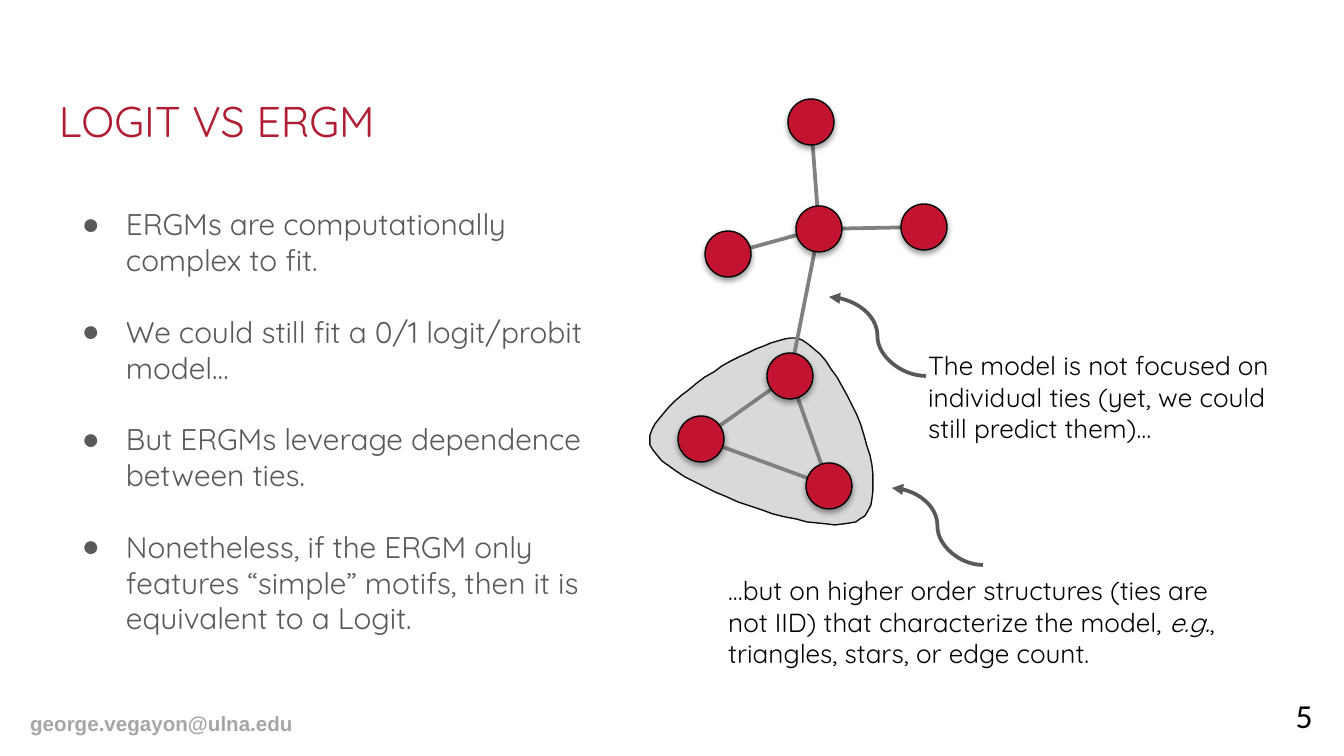
from dataclasses import dataclass

from lxml import etree
from pptx import Presentation
from pptx.dml.color import RGBColor
from pptx.enum.shapes import MSO_CONNECTOR as Connector, MSO_SHAPE as Shape
from pptx.enum.text import MSO_ANCHOR as Anchor, MSO_AUTO_SIZE as AutoSize, PP_ALIGN as Align
from pptx.oxml.ns import qn
from pptx.util import Emu, Pt

EMU_PER_PX = 914400 / 134.4
INSET = 13


@dataclass(frozen=True)
class Theme:
    font: str = "Quicksand"
    footer_font: str = "Arial"
    number_font: str = "Calibri"
    accent: str = "B01C32"
    node: str = "C21330"
    body: str = "595959"
    tie: str = "808080"
    region: str = "D9D9D9"
    region_edge: str = "0D0D0D"
    footer: str = "A6A6A6"
    black: str = "000000"
    title_size: int = 23
    number_size: int = 18
    body_size: int = 16
    note_size: int = 14
    footer_size: int = 11
    line_width: float = 2
    outline_width: float = 0.75


def px(value):
    return Emu(round(value * EMU_PER_PX))


def add_xml(parent, tag, **attributes):
    return etree.SubElement(parent, qn(tag), attributes)


def curve_points(start, segments, steps=24):
    """Sample a chain of cubic Bezier segments."""
    points = []
    for first, second, end in segments:
        for step in range(1, steps + 1):
            t = step / steps
            weights = ((1 - t) ** 3, 3 * t * (1 - t) ** 2, 3 * t * t * (1 - t), t ** 3)
            controls = (start, first, second, end)
            points.append(tuple(sum(w * c[axis] for w, c in zip(weights, controls))
                                for axis in (0, 1)))
        start = end
    return points


class SlideBuilder:
    def __init__(self, slide, theme):
        self.slide = slide
        self.shapes = slide.shapes
        self.theme = theme

    def place(self, shape, box):
        shape.left, shape.top, shape.width, shape.height = map(px, box)

    def add_run(self, paragraph, text, size, color, font=None, bold=False, italic=False):
        run = paragraph.add_run()
        run.text = text
        run.font.name = font or self.theme.font
        run.font.size = Pt(size)
        run.font.color.rgb = RGBColor.from_string(color)
        run.font.bold = bold
        run.font.italic = italic

    def paint(self, shape, fill, line):
        shape.fill.solid()
        shape.fill.fore_color.rgb = RGBColor.from_string(fill)
        shape.line.color.rgb = RGBColor.from_string(line)
        shape.line.width = Pt(self.theme.outline_width)
        shape.shadow.inherit = False

    def prepare_placeholder(self, shape, box, top_inset):
        self.place(shape, box)
        frame = shape.text_frame
        frame.word_wrap = True
        frame.auto_size = AutoSize.NONE
        frame.vertical_anchor = Anchor.TOP
        frame.margin_left = frame.margin_right = px(INSET)
        frame.margin_top = px(top_inset)
        return frame

    def title(self, text, box):
        frame = self.prepare_placeholder(self.shapes.title, box, INSET)
        paragraph = frame.paragraphs[0]
        paragraph.alignment = Align.LEFT
        self.add_run(paragraph, text, self.theme.title_size, self.theme.accent)

    def bullets(self, items, box):
        frame = self.prepare_placeholder(self.slide.placeholders[1], box, 2)
        for index, item in enumerate(items):
            paragraph = frame.paragraphs[0] if index == 0 else frame.add_paragraph()
            paragraph.line_spacing = 1.0
            paragraph.space_before = Pt(0)
            paragraph.space_after = Pt(19.2)
            properties = paragraph._p.get_or_add_pPr()
            properties.set("marL", str(px(67)))
            properties.set("indent", str(px(-44)))
            add_xml(properties, "a:buChar", char="●")
            self.add_run(paragraph, item, self.theme.body_size, self.theme.body)

    def text(self, runs, box, size, color, font=None, bold=False, wrap=True,
             align=Align.LEFT, anchor=Anchor.TOP):
        """Add a text box; runs are (text, italic) pairs."""
        frame = self.shapes.add_textbox(*map(px, box)).text_frame
        frame.word_wrap = wrap
        frame.vertical_anchor = anchor
        paragraph = frame.paragraphs[0]
        paragraph.alignment = align
        for text, italic in runs:
            self.add_run(paragraph, text, size, color, font, bold, italic)

    def note(self, runs, box):
        self.text(runs, box, self.theme.note_size, self.theme.black)

    def region(self, start, segments):
        builder = self.shapes.build_freeform(*start, scale=EMU_PER_PX)
        builder.add_line_segments(curve_points(start, segments), close=True)
        self.paint(builder.convert_to_shape(), self.theme.region, self.theme.region_edge)

    def connector(self, kind, start, end, color):
        line = self.shapes.add_connector(kind, *map(px, (*start, *end)))
        line.line.color.rgb = RGBColor.from_string(color)
        line.line.width = Pt(self.theme.line_width)
        add_xml(line._element.spPr, "a:effectLst")
        return line

    def tie(self, start, end):
        self.connector(Connector.STRAIGHT, start, end, self.theme.tie)

    def curved_arrow(self, start, end):
        arrow = self.connector(Connector.CURVE, start, end, self.theme.body)
        add_xml(arrow.line._get_or_add_ln(), "a:tailEnd", type="triangle")

    def node(self, center, diameter=46):
        left, top = (value - diameter / 2 for value in center)
        shape = self.shapes.add_shape(Shape.OVAL, *map(px, (left, top, diameter, diameter)))
        self.paint(shape, self.theme.node, self.theme.black)
        effects = shape._element.spPr.find(qn("a:effectLst"))
        shadow = add_xml(effects, "a:outerShdw", blurRad=str(Pt(3.1)), dist=str(Pt(1.6)),
                         dir="5400000", rotWithShape="0")
        color = add_xml(shadow, "a:srgbClr", val=self.theme.black)
        add_xml(color, "a:alpha", val="38000")


NODES = {
    "left": (701, 439), "right": (829, 486), "apex": (790, 376),
    "west": (728, 254), "hub": (819, 229), "north": (811, 122), "east": (924, 227),
}
TIES = [
    ("west", "hub"), ("right", "apex"), ("left", "right"), ("hub", "apex"),
    ("hub", "east"), ("hub", "north"), ("left", "apex"),
]
BULLETS = [
    "ERGMs are computationally complex to fit.",
    "We could still fit a 0/1 logit/probit model…",
    "But ERGMs leverage dependence between ties.",
    "Nonetheless, if the ERGM only features “simple” motifs, then it is equivalent to a Logit.",
]


def main():
    presentation = Presentation()
    presentation.slide_width, presentation.slide_height = px(1344), px(756)
    theme = Theme()
    slide = SlideBuilder(presentation.slides.add_slide(presentation.slide_layouts[1]), theme)

    slide.text([("george.vegayon@ulna.edu", False)], (17, 704, 293, 39), theme.footer_size,
               theme.footer, theme.footer_font, bold=True, wrap=False)
    slide.title("LOGIT VS ERGM", (46, 82, 579, 112))
    slide.bullets(BULLETS, (46, 204, 590, 468))
    slide.text([("5", False)], (1246, 686, 80, 58), theme.number_size, theme.black,
               theme.number_font, align=Align.RIGHT, anchor=Anchor.MIDDLE)

    slide.region((650, 445), [
        ((641, 409), (758, 336), (796, 338)),
        ((843, 351), (900, 497), (860, 519)),
        ((831, 543), (665, 485), (650, 445)),
    ])
    for start, end in TIES:
        slide.tie(NODES[start], NODES[end])
    for center in NODES.values():
        slide.node(center)

    slide.curved_arrow((926, 376), (829, 297))
    slide.note([("The model is not focused on individual ties (yet, we could still "
                 "predict them)…", False)], (915, 343, 372, 109))
    slide.curved_arrow((983, 565), (892, 488))
    slide.note([("…but on higher order structures (ties are not IID) that characterize "
                 "the model, ", False),
                ("e.g.", True),
                (", triangles, stars, or edge count.", False)], (715, 568, 523, 140))
    presentation.save("out.pptx")


if __name__ == "__main__":
    main()
